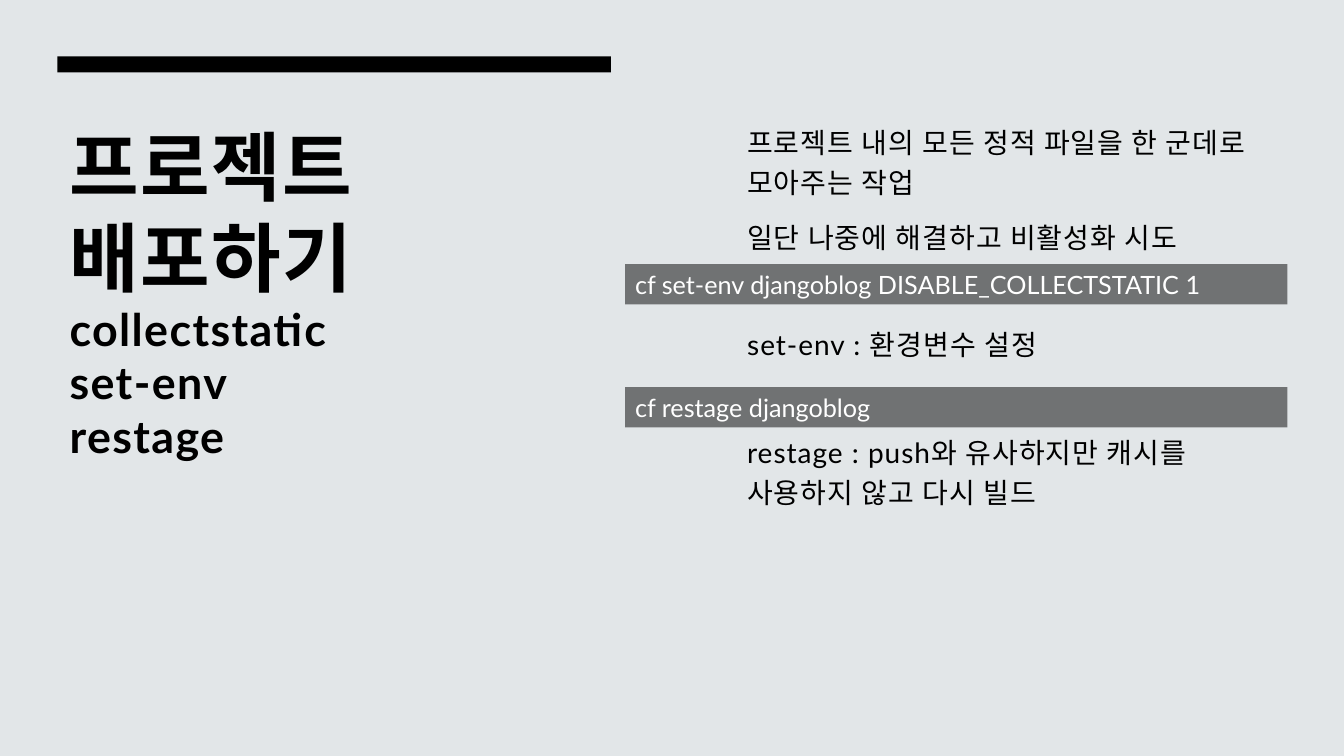
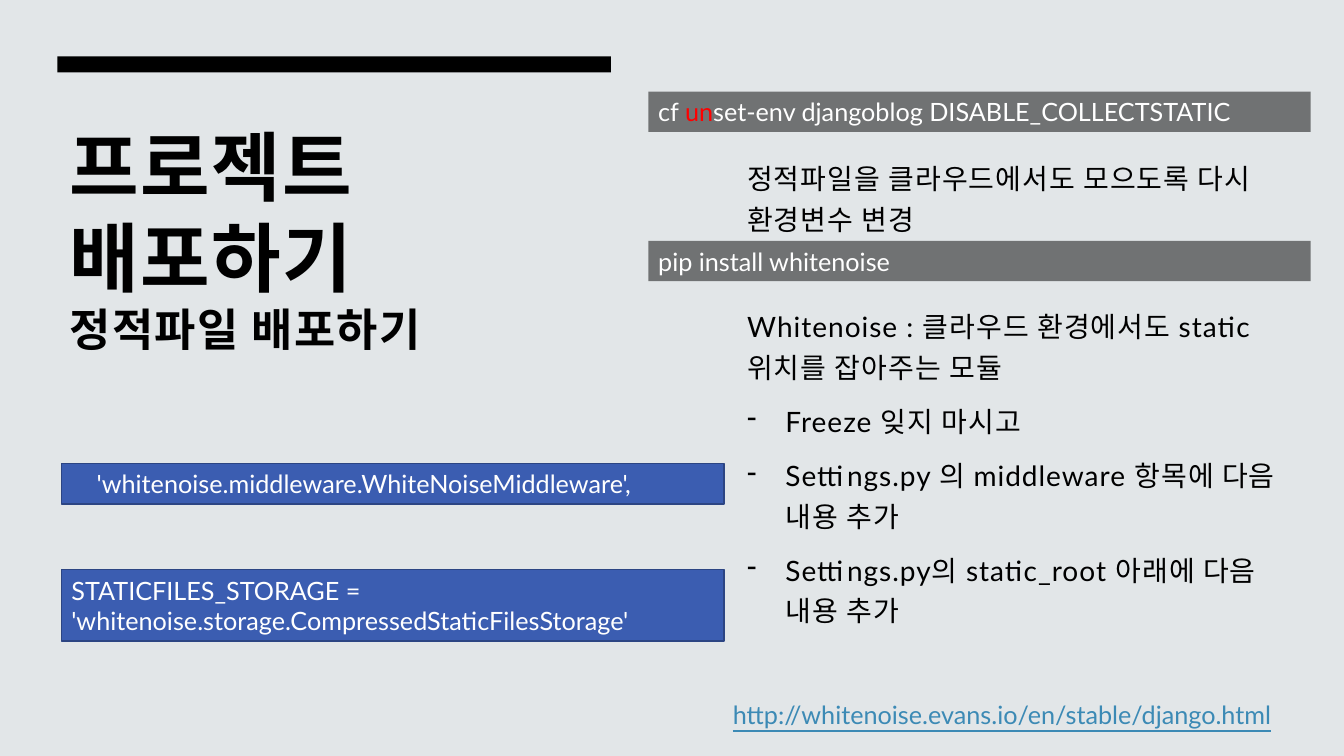
from lxml import etree
from pptx import Presentation
from pptx.dml import color
from pptx.enum import shapes, text
from pptx.oxml import ns
from pptx import util as u

COLORS = {
    "back": "E2E6E8",
    "ink": "000000",
    "paper": "FFFFFF",
    "alert": "FF0000",
    "config": "3B5DB1",
    "config_edge": "2C4583",
    "link": "3C8AB5",
}
FONT = "Lato"
FORMATS = {
    "title": {"size": u.Pt(54), "bold": True},
    "subtitle": {"size": u.Pt(32), "bold": True},
    "body": {"size": u.Pt(20)},
    "code": {"size": u.Pt(18)},
    "link": {"size": u.Pt(18), "underline": True},
}
TRACKING = {"title": 100, "subtitle": 100, "body": 70}
FRAME = {
    "word_wrap": True,
    "vertical_anchor": text.MSO_ANCHOR.TOP,
    "margin_left": u.Inches(0.12),
    "margin_top": u.Inches(0.12),
    "margin_right": u.Inches(0.12),
    "margin_bottom": u.Inches(0.1),
}
COLUMN_LEFT, COLUMN_WIDTH = 0.57, 5.49
BODY_LEFT = 7.29
BAND_WIDTH, BAND_HEIGHT = 6.57, 0.4
GAP, WIDE_GAP = 10, 48


def set_all(target, values):
    for name, value in values.items():
        setattr(target, name, value)


def rgb(name):
    return color.RGBColor.from_string(COLORS[name])


def add_span(para, words, style, tint="ink"):
    span = para.add_run()
    span.text = words
    set_all(span.font, {"name": FONT, **FORMATS[style]})
    span.font.color.rgb = rgb(tint)
    if style in TRACKING:
        span.font._element.set("spc", str(TRACKING[style]))


def add_text_box(page, left, top, width, height, frame_format):
    box = page.shapes.add_textbox(*map(u.Inches, (left, top, width, height)))
    set_all(box.text_frame, frame_format)
    return box.text_frame


def add_rectangle(page, left, top, width, height, fill):
    box = page.shapes.add_shape(
        shapes.MSO_SHAPE.RECTANGLE, *map(u.Inches, (left, top, width, height)))
    box.shadow.inherit = False
    box.fill.solid()
    box.fill.fore_color.rgb = rgb(fill)
    box.line.fill.background()
    return box


def add_title(page, lines, subtitles):
    frame = add_text_box(page, COLUMN_LEFT, 1.07, COLUMN_WIDTH, 5.33, FRAME)
    para = frame.paragraphs[0]
    styled = [(line, "title") for line in lines]
    styled += [(line, "subtitle") for line in subtitles]
    for index, (line, style) in enumerate(styled):
        if index:
            para.add_line_break()
        add_span(para, line, style)


def add_dash(para):
    properties = para._p.get_or_add_pPr()
    indent = u.Inches(0.38)
    properties.set("marL", str(indent))
    properties.set("indent", str(-indent))
    etree.SubElement(properties, ns.qn("a:buChar")).set("char", "-")


def add_body(page, top, height, items):
    frame = add_text_box(page, BODY_LEFT, top, COLUMN_WIDTH, height, FRAME)
    for index, (words, gap, dashed) in enumerate(items):
        para = frame.add_paragraph() if index else frame.paragraphs[0]
        set_all(para, {"line_spacing": 1.2, "space_before": u.Pt(gap)})
        if dashed:
            add_dash(para)
        add_span(para, words, "body")


def write_code(box, spans, inset=0.1):
    set_all(box.text_frame, {"word_wrap": True, "margin_left": u.Inches(inset)})
    para = box.text_frame.paragraphs[0]
    para.alignment = text.PP_ALIGN.LEFT
    for words, tint in spans:
        add_span(para, words, "code", tint)


def add_command(page, left, top, *spans):
    box = add_rectangle(page, left, top, BAND_WIDTH, BAND_HEIGHT, "ink")
    tone = box.fill._xPr.find(".//" + ns.qn("a:srgbClr"))
    etree.SubElement(tone, ns.qn("a:alpha")).set("val", "50000")
    write_code(box, spans)


def add_setting(page, top, height, words, inset=0.1):
    box = add_rectangle(page, 0.61, top, BAND_WIDTH, height, "config")
    box.line.color.rgb = rgb("config_edge")
    box.line.width = u.Pt(1)
    write_code(box, [(words, "paper")], inset)


def add_link(page, left, top, width, height, address):
    frame = add_text_box(page, left, top, width, height, {"word_wrap": True})
    add_span(frame.paragraphs[0], address, "link", "link")


def add_page(deck, title, subtitles):
    page = deck.slides.add_slide(deck.slide_layouts[6])
    page.background.fill.solid()
    page.background.fill.fore_color.rgb = rgb("back")
    add_rectangle(page, COLUMN_LEFT, 0.56, COLUMN_WIDTH, 0.16, "ink")
    add_title(page, title, subtitles)
    return page


def build_environment_page(deck):
    page = add_page(deck, ["프로젝트", "배포하기"],
                    ["collectstatic", "set-env", "restage"])
    add_body(page, 1.06, 5.33, [
        ("프로젝트 내의 모든 정적 파일을 한 군데로 모아주는 작업", GAP, False),
        ("일단 나중에 해결하고 비활성화 시도", GAP, False),
        ("set-env : 환경변수 설정", WIDE_GAP, False),
        ("restage : push와 유사하지만 캐시를 사용하지 않고 다시 빌드", WIDE_GAP, False),
    ])
    add_command(page, 6.2, 2.62,
                ("cf set-env djangoblog DISABLE_COLLECTSTATIC 1", "paper"))
    add_command(page, 6.2, 3.84, ("cf restage djangoblog", "paper"))


def build_static_files_page(deck):
    page = add_page(deck, ["프로젝트 배포하기"], ["정적파일 배포하기"])
    add_body(page, 1.42, 4.97, [
        ("정적파일을 클라우드에서도 모으도록 다시 환경변수 변경", GAP, False),
        ("Whitenoise : 클라우드 환경에서도 static 위치를 잡아주는 모듈", WIDE_GAP, False),
        ("Freeze 잊지 마시고", GAP, True),
        ("Settings.py 의 middleware 항목에 다음 내용 추가", GAP, True),
        ("Settings.py의 static_root 아래에 다음 내용 추가", GAP, True),
    ])
    add_command(page, 6.43, 0.91, ("cf ", "paper"), ("un", "alert"),
                ("set-env djangoblog DISABLE_COLLECTSTATIC", "paper"))
    add_command(page, 6.43, 2.39, ("pip install whitenoise", "paper"))
    add_setting(page, 4.6, BAND_HEIGHT,
                "'whitenoise.middleware.WhiteNoiseMiddleware',", inset=0.35)
    add_setting(page, 5.65, 0.71,
                "STATICFILES_STORAGE = 'whitenoise.storage.CompressedStaticFilesStorage'")
    add_link(page, 7.17, 6.89, 6.67, 0.71,
             "http://whitenoise.evans.io/en/stable/django.html")


def main():
    deck = Presentation()
    set_all(deck, {"slide_width": u.Inches(13.33), "slide_height": u.Inches(7.5)})
    build_environment_page(deck)
    build_static_files_page(deck)
    deck.save("out.pptx")


if __name__ == "__main__":
    main()
